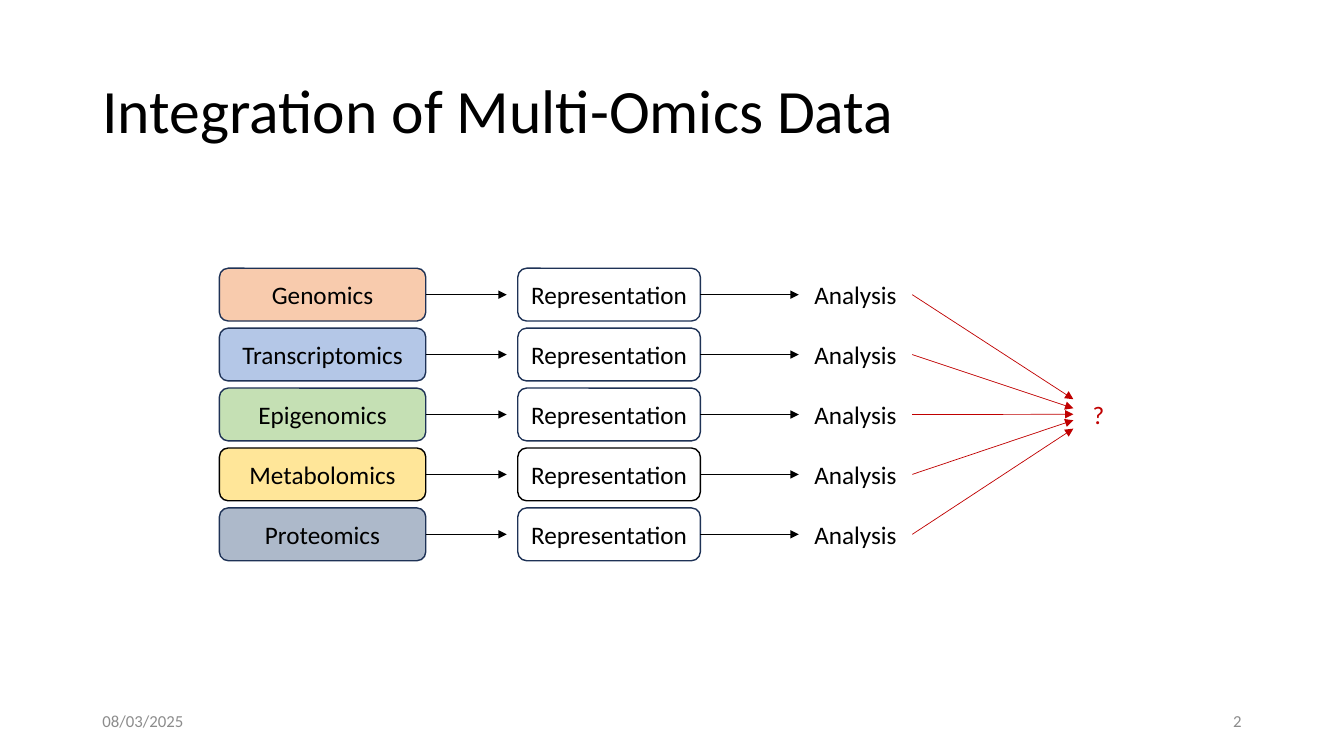
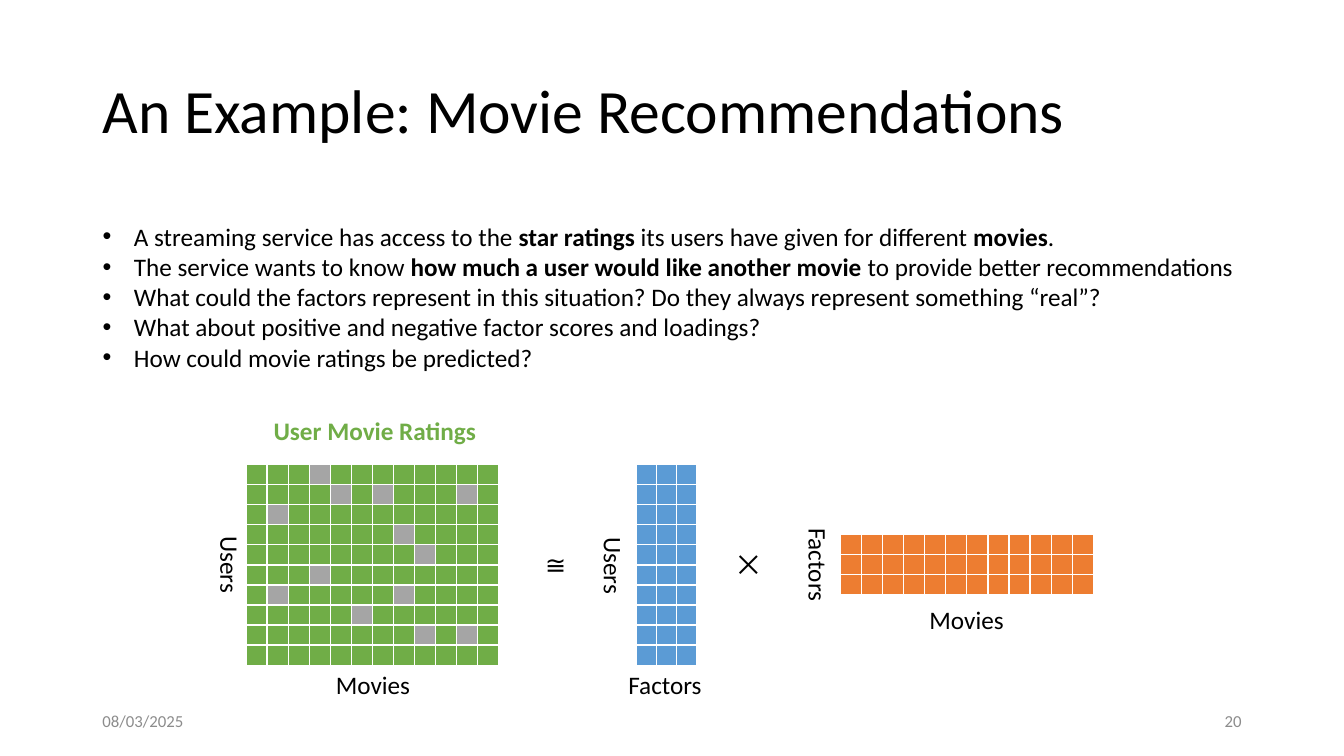
from dataclasses import dataclass
from lxml import etree
from pptx import Presentation
from pptx import util as u
from pptx.dml.color import RGBColor
from pptx.enum import shapes, text
from pptx.oxml import ns

Cm, Pt = u.Cm, u.Pt
MID, TOP = text.MSO_ANCHOR.MIDDLE, text.MSO_ANCHOR.TOP
LEFT, CENTER, RIGHT = text.PP_ALIGN.LEFT, text.PP_ALIGN.CENTER, text.PP_ALIGN.RIGHT


@dataclass(frozen=True)
class Theme:
    font: str = "Calibri"
    head: int = 44
    body: int = 18
    foot: int = 12
    ink: str = "000000"
    pale: str = "8C8C8C"
    edge: str = "1E3256"
    red: str = "C00000"
    white: str = "FFFFFF"
    green: str = "70AD47"
    gray: str = "A5A5A5"
    blue: str = "5B9BD5"
    orange: str = "ED7D31"


T = Theme()

# Content
DATE = "08/03/2025"
OMICS = {
    "title": "Integration of Multi-Omics Data",
    "page": "2",
    # name, fill, outline, height at which the red arrow ends
    "rows": [
        ("Genomics", "F8CBAD", T.edge, 10.06),
        ("Transcriptomics", "B4C7E7", T.edge, 10.29),
        ("Epigenomics", "C5E0B4", T.edge, 10.44),
        ("Metabolomics", "FFE699", T.ink, 10.59),
        ("Proteomics", "ADB9CA", T.edge, 10.8),
    ],
}
MOVIES = {
    "title": "An Example: Movie Recommendations",
    "page": "20",
    # bold parts stand between asterisks
    "list": [
        "A streaming service has access to the *star ratings *its users have "
        "given for different *movies*.",
        "The service wants to know *how much a user would like another movie *"
        "to provide better recommendations",
        "What could the factors represent in this situation? "
        "Do they always represent something “real”?",
        "What about positive and negative factor scores and loadings?",
        "How could movie ratings be predicted?",
    ],
    # box, rows, columns, colour, missing cells
    "grids": [
        ((6.2, 11.71, 6.38, 5.05), 10, 12, T.green,
         {(0, 3), (1, 4), (1, 6), (1, 10), (2, 1), (3, 7), (4, 8), (5, 3),
          (6, 1), (6, 7), (7, 5), (8, 8), (8, 10)}),
        ((16.03, 11.71, 1.52, 5.05), 10, 3, T.blue, set()),
        ((21.18, 13.46, 6.38, 1.52), 3, 12, T.orange, set()),
    ],
    # wording, box, turn, alignment
    "labels": [
        ("Movies", (7.52, 16.74, 3.76, 1.02), 0, CENTER),
        ("Factors", (14.88, 16.74, 3.76, 1.02), 0, CENTER),
        ("Movies", (22.48, 15.11, 3.76, 1.02), 0, CENTER),
        ("Users", (3.28, 13.72, 5.05, 1.02), 90, CENTER),
        ("Users", (13.59, 13.74, 3.76, 1.02), 90, CENTER),
        ("Factors", (18.75, 13.72, 3.76, 1.02), 90, CENTER),
        ("≅", (13.49, 13.72, 1.88, 1.02), 0, LEFT),
        ("⨉", (18.36, 13.72, 1.09, 1.02), 0, LEFT),
    ],
    "caption": ("User Movie Ratings", (6.32, 10.34, 6.25, 1.02)),
}


# Shared parts
def rgb(code):
    return RGBColor.from_string(code)


def span(box):
    return [Cm(v) for v in box]


def place(shape, box):
    shape.left, shape.top, shape.width, shape.height = span(box)


def style(par, size=T.body, color=T.ink, align=LEFT, bold=False):
    par.alignment = align
    for run in par.runs:
        font = run.font
        font.name, font.size, font.bold = T.font, Pt(size), bold
        font.color.rgb = rgb(color)


def label(slide, words, box, anchor=TOP, **look):
    shape = slide.shapes.add_textbox(*span(box))
    frame = shape.text_frame
    frame.word_wrap = True
    frame.vertical_anchor = anchor
    frame.text = words
    style(frame.paragraphs[0], **look)
    return shape


def start(deck, layout, data):
    slide = deck.slides.add_slide(deck.slide_layouts[layout])
    title = slide.shapes.title
    place(title, (2.33, 1.01, 29.21, 3.68))
    frame = title.text_frame
    frame.text = data["title"]
    frame.auto_size = text.MSO_AUTO_SIZE.NONE
    frame.vertical_anchor = MID
    frame.paragraphs[0].line_spacing = 0.9
    style(frame.paragraphs[0], T.head)
    for words, left, align in ((DATE, 2.33, LEFT), (data["page"], 23.92, RIGHT)):
        label(slide, words, (left, 17.66, 7.62, 1.01), MID,
              size=T.foot, color=T.pale, align=align)
    return slide


def card(slide, words, box, fill=None, edge=None, color=T.ink):
    shape = slide.shapes.add_shape(shapes.MSO_SHAPE.ROUNDED_RECTANGLE, *span(box))
    shape.shadow.inherit = False
    if fill:
        shape.fill.solid()
        shape.fill.fore_color.rgb = rgb(fill)
    else:
        shape.fill.background()
    if edge:
        shape.line.color.rgb = rgb(edge)
        shape.line.width = Pt(1)
    else:
        shape.line.fill.background()
    frame = shape.text_frame
    frame.text = words
    frame.vertical_anchor = MID
    style(frame.paragraphs[0], color=color, align=CENTER)


def arrow(slide, ends, color=T.ink):
    link = slide.shapes.add_connector(shapes.MSO_CONNECTOR.STRAIGHT, *span(ends))
    link.line.color.rgb = rgb(color)
    link.line.width = Pt(0.5)
    etree.SubElement(link.line._get_or_add_ln(), ns.qn("a:tailEnd"), type="triangle")
    etree.SubElement(link._element.spPr, ns.qn("a:effectLst"))


def border(cell):
    props = cell._tc.get_or_add_tcPr()
    for side in ("lnL", "lnR", "lnT", "lnB"):
        line = etree.SubElement(props, ns.qn("a:" + side), w=str(Pt(1)))
        fill = etree.SubElement(line, ns.qn("a:solidFill"))
        etree.SubElement(fill, ns.qn("a:srgbClr"), val=T.white)


def grid(slide, box, rows, cols, color, gaps):
    frame = slide.shapes.add_table(rows, cols, *span(box))
    table = frame.table
    table.first_row = table.horz_banding = False
    for row in table.rows:
        row.height = Cm(box[3]) // rows
    for col in table.columns:
        col.width = Cm(box[2]) // cols
    for r in range(rows):
        for c in range(cols):
            cell = table.cell(r, c)
            cell.margin_left = cell.margin_right = 0
            cell.margin_top = cell.margin_bottom = 0
            border(cell)
            cell.fill.solid()
            cell.fill.fore_color.rgb = rgb(T.gray if (r, c) in gaps else color)
            # small type keeps the empty rows low
            par = cell.text_frame.paragraphs[0]._p
            etree.SubElement(par, ns.qn("a:endParaRPr"), sz="400")


# Slides
def omics(deck):
    slide = start(deck, 5, OMICS)
    first, step, high = 6.76, 1.51, 1.33
    for i, (name, fill, edge, end) in enumerate(OMICS["rows"]):
        top = first + i * step
        mid = top + high / 2
        card(slide, name, (5.53, top, 5.2, high), fill, edge)
        card(slide, "Representation", (13.05, top, 4.6, high), None, edge)
        card(slide, "Analysis", (20.13, top, 2.86, high))
        arrow(slide, (10.73, mid, 12.77, mid))
        arrow(slide, (17.65, mid, 20.13, mid))
        arrow(slide, (22.99, mid, 27.05, end), T.red)
    card(slide, "?", (27.05, first + 2 * step, 1.27, high), color=T.red)


def movies(deck):
    slide = start(deck, 1, MOVIES)
    body = slide.placeholders[1]
    place(body, (2.33, 5.44, 29.21, 4.88))
    frame = body.text_frame
    frame.auto_size = text.MSO_AUTO_SIZE.NONE
    for i, line in enumerate(MOVIES["list"]):
        par = frame.paragraphs[0] if i == 0 else frame.add_paragraph()
        props = par._p.get_or_add_pPr()
        props.set("marL", str(Cm(0.79)))
        props.set("indent", str(-Cm(0.79)))
        par.space_before = Pt(0)
        for part in line.split("*"):
            par.add_run().text = part
        style(par)
        for run in par.runs[1::2]:
            run.font.bold = True
    for spec in MOVIES["grids"]:
        grid(slide, *spec)
    for words, box, turn, align in MOVIES["labels"]:
        label(slide, words, box, align=align).rotation = turn
    label(slide, *MOVIES["caption"], color=T.green, align=CENTER, bold=True)


def main():
    deck = Presentation()
    deck.slide_width, deck.slide_height = Cm(33.87), Cm(19.05)
    omics(deck)
    movies(deck)
    deck.save("out.pptx")


if __name__ == "__main__":
    main()
